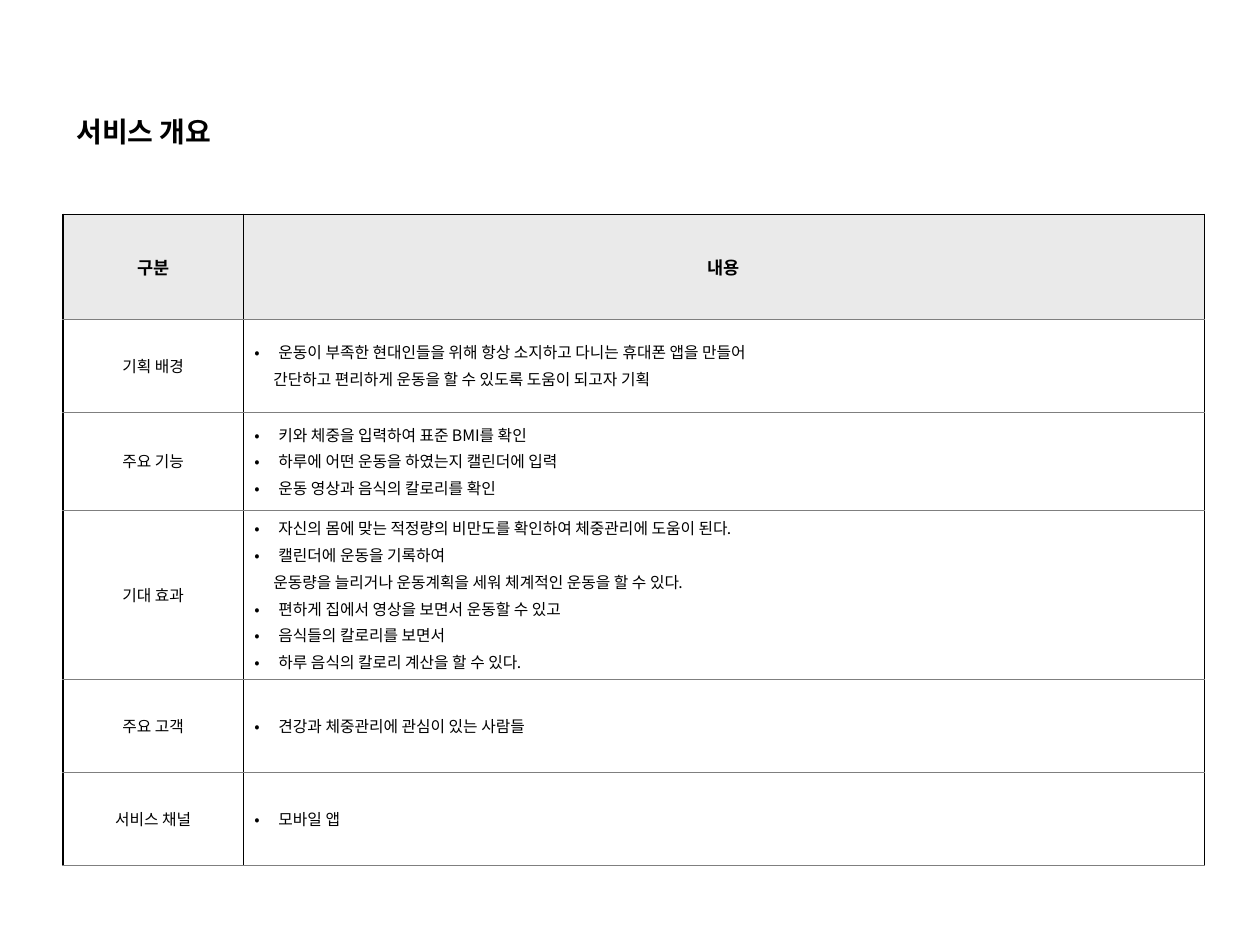
from dataclasses import dataclass

from lxml.etree import SubElement
from pptx import Presentation
from pptx.dml.color import RGBColor
from pptx.enum.text import MSO_ANCHOR, PP_ALIGN
from pptx.oxml.ns import qn
from pptx.util import Inches, Pt

FONT_NAME = "Noto Sans CJK KR"
BLACK = RGBColor(0x00, 0x00, 0x00)
GRAY = RGBColor(0x7F, 0x7F, 0x7F)
HEADER_FILL = RGBColor(0xEA, 0xEA, 0xEA)
COLUMN_WIDTHS = (1.43, 7.63)


@dataclass(frozen=True)
class Line:
    """One line of a content cell."""

    text: str
    bulleted: bool = True


@dataclass(frozen=True)
class Section:
    """One body row of the overview table."""

    label: str
    height: float
    lines: tuple[Line, ...]


@dataclass(frozen=True)
class Border:
    """One cell border."""

    tag: str
    color: RGBColor
    width: float


SECTIONS = (
    Section("기획 배경", 0.74, (
        Line("운동이 부족한 현대인들을 위해 항상 소지하고 다니는 휴대폰 앱을 만들어"),
        Line("간단하고 편리하게 운동을 할 수 있도록 도움이 되고자 기획", False),
    )),
    Section("주요 기능", 0.78, (
        Line("키와 체중을 입력하여 표준 BMI를 확인"),
        Line("하루에 어떤 운동을 하였는지 캘린더에 입력"),
        Line("운동 영상과 음식의 칼로리를 확인"),
    )),
    Section("기대 효과", 1.34, (
        Line("자신의 몸에 맞는 적정량의 비만도를 확인하여 체중관리에 도움이 된다."),
        Line("캘린더에 운동을 기록하여"),
        Line("운동량을 늘리거나 운동계획을 세워 체계적인 운동을 할 수 있다.", False),
        Line("편하게 집에서 영상을 보면서 운동할 수 있고"),
        Line("음식들의 칼로리를 보면서"),
        Line("하루 음식의 칼로리 계산을 할 수 있다."),
    )),
    Section("주요 고객", 0.74, (Line("견강과 체중관리에 관심이 있는 사람들"),)),
    Section("서비스 채널", 0.74, (Line("모바일 앱"),)),
)


def set_font(paragraph, size: float, bold: bool = False) -> None:
    """Apply the slide font to Latin and Korean text."""
    font = paragraph.font
    font.size = Pt(size)
    font.bold = bold
    font.color.rgb = BLACK
    font.name = FONT_NAME
    properties = paragraph._p.pPr.find(qn("a:defRPr"))
    SubElement(properties, qn("a:ea"), typeface=FONT_NAME)


def set_indent(paragraph, line: Line) -> None:
    """Hang a bullet, or indent an unbulleted continuation."""
    properties = paragraph._p.get_or_add_pPr()
    margin = Inches(0.19 if line.bulleted else 0.15)
    properties.set("marL", str(margin))
    properties.set("indent", str(-margin if line.bulleted else 0))
    if line.bulleted:
        bullet_color = SubElement(properties, qn("a:buClr"))
        SubElement(bullet_color, qn("a:srgbClr"), val=str(BLACK))
        SubElement(properties, qn("a:buFont"), typeface=FONT_NAME)
        SubElement(properties, qn("a:buChar"), char="•")
    else:
        SubElement(properties, qn("a:buNone"))


def style_cell(cell, is_header: bool, is_label: bool) -> None:
    """Set the borders, margins and fill of a cell."""
    cell.vertical_anchor = MSO_ANCHOR.MIDDLE
    cell.margin_left = cell.margin_right = Inches(0.09)
    cell.margin_top = cell.margin_bottom = Inches(0.05)
    borders = (
        Border("a:lnL", BLACK, 0.75 if is_label else 0.45),
        Border("a:lnR", BLACK, 0.45 if is_label else 0.75),
        Border("a:lnT", BLACK if is_header else GRAY, 0.75 if is_header else 0.34),
        Border("a:lnB", GRAY, 0.34),
    )
    properties = cell._tc.get_or_add_tcPr()
    for border in borders:
        outline = SubElement(properties, qn(border.tag), w=str(Pt(border.width)))
        fill = SubElement(outline, qn("a:solidFill"))
        SubElement(fill, qn("a:srgbClr"), val=str(border.color))
    if is_header:
        cell.fill.solid()
        cell.fill.fore_color.rgb = HEADER_FILL
    else:
        cell.fill.background()


def write_centered(cell, text: str, size: float, bold: bool = False) -> None:
    """Write one centred line in a cell."""
    paragraph = cell.text_frame.paragraphs[0]
    paragraph.text = text
    paragraph.alignment = PP_ALIGN.CENTER
    set_font(paragraph, size, bold)


def write_lines(cell, lines: tuple[Line, ...]) -> None:
    """Write the content lines of a cell."""
    frame = cell.text_frame
    for index, line in enumerate(lines):
        paragraph = frame.add_paragraph() if index else frame.paragraphs[0]
        paragraph.text = line.text
        if index:
            paragraph.space_before = Pt(2.2)
        set_indent(paragraph, line)
        set_font(paragraph, 9)


def add_title(slide) -> None:
    """Add the slide title."""
    box = slide.shapes.add_textbox(Inches(0.51), Inches(0.9), Inches(3.2), Inches(0.34))
    frame = box.text_frame
    frame.word_wrap = True
    frame.vertical_anchor = MSO_ANCHOR.MIDDLE
    paragraph = frame.paragraphs[0]
    paragraph.text = "서비스 개요"
    paragraph.line_spacing = 0.8
    set_font(paragraph, 16, True)


def add_overview_table(slide) -> None:
    """Add the service overview table."""
    heights = (0.83, *(section.height for section in SECTIONS))
    table = slide.shapes.add_table(
        len(heights), len(COLUMN_WIDTHS), Inches(0.5), Inches(1.7),
        Inches(sum(COLUMN_WIDTHS)), Inches(sum(heights)),
    ).table
    for column, width in zip(table.columns, COLUMN_WIDTHS):
        column.width = Inches(width)
    for row_index, height in enumerate(heights):
        table.rows[row_index].height = Inches(height)
        for column_index in range(len(COLUMN_WIDTHS)):
            style_cell(table.cell(row_index, column_index), row_index == 0, column_index == 0)
    for column_index, heading in enumerate(("구분", "내용")):
        write_centered(table.cell(0, column_index), heading, 10, True)
    for row_index, section in enumerate(SECTIONS, 1):
        write_centered(table.cell(row_index, 0), section.label, 9)
        write_lines(table.cell(row_index, 1), section.lines)


def main() -> None:
    """Build and save the slide."""
    presentation = Presentation()
    presentation.slide_width = Inches(10)
    presentation.slide_height = Inches(7.5)
    slide = presentation.slides.add_slide(presentation.slide_layouts[6])
    add_title(slide)
    add_overview_table(slide)
    presentation.save("out.pptx")


if __name__ == "__main__":
    main()
